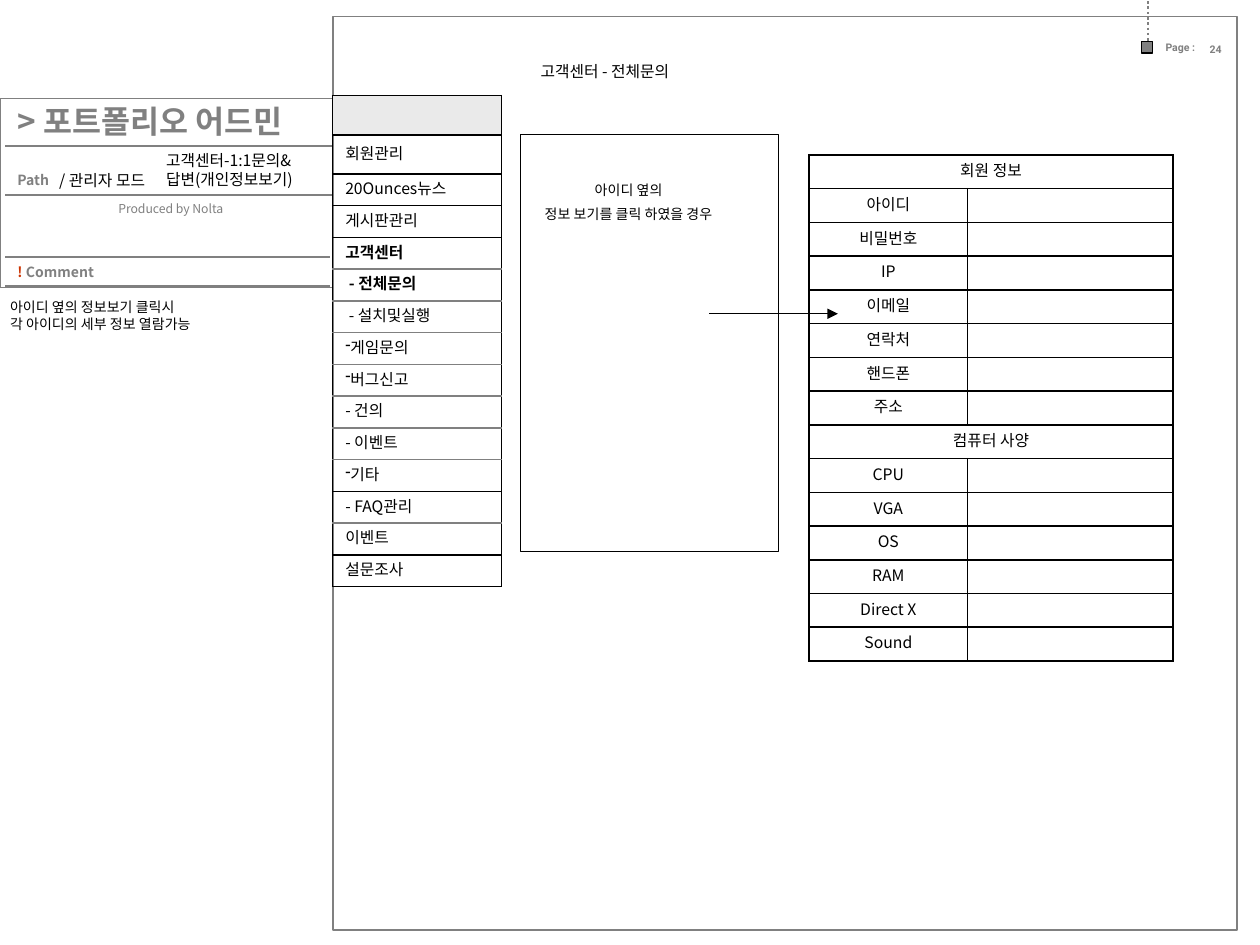
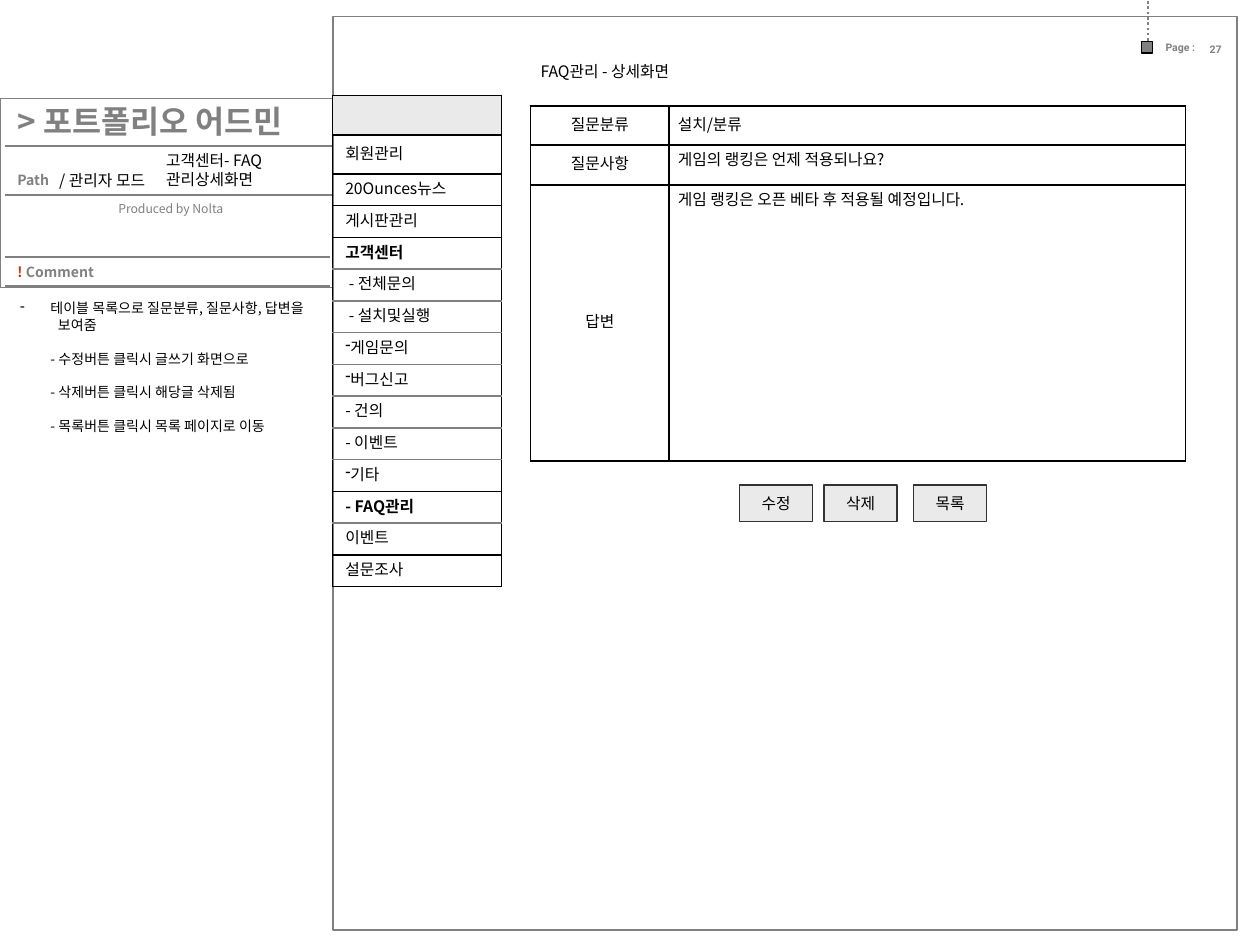
from dataclasses import dataclass
from typing import NamedTuple

from lxml.etree import SubElement
from pptx import Presentation
from pptx.dml.color import RGBColor
from pptx.enum.dml import MSO_LINE
from pptx.enum.shapes import MSO_CONNECTOR, MSO_SHAPE
from pptx.enum.text import MSO_ANCHOR, PP_ALIGN
from pptx.oxml.ns import qn
from pptx.util import Inches, Pt

LEFT, CENTER, RIGHT = PP_ALIGN.LEFT, PP_ALIGN.CENTER, PP_ALIGN.RIGHT
TOP, MIDDLE = MSO_ANCHOR.TOP, MSO_ANCHOR.MIDDLE
RECT, STRAIGHT = MSO_SHAPE.RECTANGLE, MSO_CONNECTOR.STRAIGHT
DOTTED = MSO_LINE.ROUND_DOT

WIDTH, HEIGHT = Inches(10), Inches(7.5)
COL, ROW = WIDTH / 100, HEIGHT / 75  # slide grid: 100 columns, 75 rows


@dataclass(frozen=True)
class Theme:
    ink: str = "000000"
    gray: str = "808080"
    accent: str = "CC3300"
    panel: str = "EAEAEA"
    button_edge: str = "333333"
    font: str = "Noto Sans CJK KR"
    page_font: str = "Roboto"
    title: float = 18
    body: float = 9
    note: float = 8
    credit: float = 7
    page: float = 6
    leading: float = 1.2
    thin: float = 0.75
    rule: float = 1
    dots: float = 1.5


T = Theme()


class Box(NamedTuple):
    """A place on the grid, in columns and rows."""
    x: float
    y: float
    w: float
    h: float

    def within(self, x, y, w, h):
        return Box(self.x + x, self.y + y, w, h)

    def emu(self):
        return [round(n * unit) for n, unit in zip(self, (COL, ROW, COL, ROW))]


PATH_PANEL = Box(0, 7.8, 26.4, 15)
SCREEN = Box(26.4, 1.3, 71.8, 72.5)

MENU = ["", "회원관리", "20Ounces뉴스", "게시판관리", "고객센터", " - 전체문의",
        " - 설치및실행", "게임문의", "버그신고", "- 건의", "- 이벤트", "기타",
        "- FAQ관리", "이벤트", "설문조사"]
DASHED_ITEMS = {"게임문의", "버그신고", "기타"}
GRAY_EDGES = {5, 6, 7, 8, 9, 10, 11, 13}

MEMBER_HEADINGS = {"회원 정보", "컴퓨터 사양"}
MEMBER_ROWS = ["회원 정보", "아이디", "비밀번호", "IP", "이메일", "연락처", "핸드폰",
               "주소", "컴퓨터 사양", "CPU", "VGA", "OS", "RAM", "Direct X", "Sound"]

FAQ_ROWS = [("질문분류", "설치/분류", MIDDLE, 3.1),
            ("질문사항", "게임의 랭킹은 언제 적용되나요?", TOP, 3.2),
            ("답변", "게임 랭킹은 오픈 베타 후 적용될 예정입니다.", TOP, 21.9)]
BUTTONS = {"수정": 32.3, "삭제": 39, "목록": 46.1}


def apply(target, formats):
    for name, value in formats.items():
        setattr(target, name, value)


def rgb(color):
    return RGBColor.from_string(color)


def write(frame, lines, size=T.body, color=T.ink, bold=False, align=LEFT,
          before=0, first_before=0, font=T.font):
    """Fill a text frame; a line is a string or a list of (text, color)."""
    for number, line in enumerate(lines):
        paragraph = frame.paragraphs[0] if number == 0 else frame.add_paragraph()
        apply(paragraph, {"alignment": align, "line_spacing": Pt(size * T.leading),
                          "space_before": Pt(before if number else first_before)})
        if not line:
            SubElement(paragraph._p, qn("a:endParaRPr"), sz=str(int(size * 100)))
        elif isinstance(line, str):
            paragraph.text = line
            colors = [color] * len(paragraph.runs)
        else:
            for text, _ in line:
                paragraph.add_run().text = text
            colors = [run_color for _, run_color in line]
        for run, run_color in zip(paragraph.runs, colors if line else []):
            apply(run.font, {"size": Pt(size), "bold": bold, "name": font})
            run.font.color.rgb = rgb(run_color)
            SubElement(run._r.get_or_add_rPr(), qn("a:ea"), typeface=font)


def indent(paragraph, margin, dash=False):
    """Indent by inches; a dash hangs in the margin."""
    properties = paragraph._p.get_or_add_pPr()
    properties.set("marL", str(Inches(margin)))
    if dash:
        properties.set("indent", str(-Inches(margin)))
        SubElement(properties, qn("a:buChar"), char="-")


def add_text(slide, box, lines, inset=0.04, anchor=TOP, wrap=True, **style):
    frame = slide.shapes.add_textbox(*box.emu()).text_frame
    apply(frame, {"margin_left": Inches(inset), "margin_right": Inches(inset),
                  "margin_top": Inches(0.05), "margin_bottom": Inches(0.05),
                  "vertical_anchor": anchor, "word_wrap": wrap})
    write(frame, lines, **style)
    return frame


def add_rect(slide, box, edge, width=T.thin, fill=None):
    shape = slide.shapes.add_shape(RECT, *box.emu())
    shape.shadow.inherit = False
    if fill:
        shape.fill.solid()
        shape.fill.fore_color.rgb = rgb(fill)
    else:
        shape.fill.background()
    shape.line.color.rgb = rgb(edge)
    shape.line.width = Pt(width)
    return shape


def add_rule(slide, box, color=T.gray, width=T.rule, dash=None, arrow=False):
    x, y, w, h = box.emu()
    rule = slide.shapes.add_connector(STRAIGHT, x, y, x + w, y + h)
    rule.line.color.rgb = rgb(color)
    rule.line.width = Pt(width)
    if dash:
        rule.line.dash_style = dash
    properties = rule._element.spPr
    if arrow:
        SubElement(properties.find(qn("a:ln")), qn("a:tailEnd"), type="triangle")
    SubElement(properties, qn("a:effectLst"))


def add_grid(slide, box, columns, rows):
    """Add a plain table whose columns and rows are given in grid units."""
    table = slide.shapes.add_table(len(rows), len(columns), *box.emu()).table
    apply(table, {"first_row": False, "horz_banding": False})
    for column, width in zip(table.columns, columns):
        column.width = round(width * COL)
    for row, height in zip(table.rows, rows):
        row.height = round(height * ROW)
    return table


def fill_cell(cell, text="", fill=None, top=T.ink, bottom=T.ink, inset=0.04,
              anchor=MIDDLE, **style):
    properties = cell._tc.get_or_add_tcPr()
    edges = {"lnL": T.ink, "lnR": T.ink, "lnT": top, "lnB": bottom}
    for side, color in edges.items():
        edge = SubElement(properties, qn("a:" + side), w=str(Pt(T.rule)))
        paint = SubElement(edge, qn("a:solidFill"))
        SubElement(paint, qn("a:srgbClr"), val=color)
    if fill:
        cell.fill.solid()
        cell.fill.fore_color.rgb = rgb(fill)
    else:
        cell.fill.background()
    apply(cell, {"margin_left": Inches(inset), "margin_right": Inches(0.04),
                 "margin_top": Inches(0.05 if anchor == TOP else 0),
                 "margin_bottom": 0, "vertical_anchor": anchor})
    write(cell.text_frame, [text], first_before=1.8, **style)


def draw_path_panel(slide, box, title):
    add_rect(slide, box, T.gray)
    for y, length in ((3.8, 26), (7.7, 26), (12.6, 25.8), (14.9, 25.8)):
        add_rule(slide, box.within(0.4, y, length, 0))
    label = {"inset": 0.1, "color": T.gray}
    add_text(slide, box.within(0.4, -0.2, 25.8, 4), ["> 포트폴리오 어드민"],
             anchor=MIDDLE, size=T.title, bold=True, **label)
    add_text(slide, box.within(0.4, 5.3, 5, 2.4), ["Path"], size=T.note, bold=True, **label)
    add_text(slide, box.within(0.4, 7.7, 18.3, 4.9), ["Produced by Nolta"],
             size=T.credit, align=RIGHT, **label)
    add_text(slide, box.within(0.4, 12.6, 18.3, 2.3),
             [[("!", T.accent), (" Comment", T.gray)]],
             inset=0.1, anchor=MIDDLE, size=T.note, bold=True)
    add_text(slide, box.within(4.3, 5.3, 8.5, 2.5), ["/ 관리자 모드"])
    add_text(slide, box.within(12.2, 3.7, 14.1, 4), [title], inset=0.1)


def draw_screen(slide, box, heading, page):
    add_rect(slide, box, T.gray, T.rule)
    add_rule(slide, box.within(64.7, -1.2, 0, 3.5), width=T.dots, dash=DOTTED)
    add_rect(slide, box.within(64.2, 2, 0.9, 0.9), T.ink, fill=T.gray)
    page_style = {"inset": 0.09, "size": T.page, "color": T.gray, "bold": True,
                  "font": T.page_font}
    add_text(slide, box.within(65.2, 1.5, 5.2, 1.9), ["Page :"], **page_style)
    add_text(slide, box.within(68.7, 1.6, 4.7, 2), [str(page)], **page_style)
    add_text(slide, box.within(16.1, 3.1, 12.4, 2.5), [heading], wrap=False)


def draw_menu(slide, box, current):
    tall, count = 3.1, len(MENU)
    short = (box.h - 2 * tall) / (count - 2)
    table = add_grid(slide, box, [box.w], [tall] * 2 + [short] * (count - 2))
    edges = [T.gray if n in GRAY_EDGES else T.ink for n in range(count + 1)]
    for number, item in enumerate(MENU):
        cell = table.cell(number, 0)
        fill_cell(cell, item, fill=None if item else T.panel, inset=0.1,
                  top=edges[number], bottom=edges[number + 1], bold=item in current)
        if item in DASHED_ITEMS:
            indent(cell.text_frame.paragraphs[0], 0, dash=True)


def draw_member_info(slide, box):
    columns = [12.6, box.w - 12.6]
    table = add_grid(slide, box, columns, [box.h / len(MEMBER_ROWS)] * len(MEMBER_ROWS))
    for number, name in enumerate(MEMBER_ROWS):
        label, value = table.cell(number, 0), table.cell(number, 1)
        fill_cell(label, name, align=CENTER)
        fill_cell(value)
        if name in MEMBER_HEADINGS:
            label.merge(value)


def draw_faq_detail(slide, box):
    heights = [height for *_, height in FAQ_ROWS]
    table = add_grid(slide, box, [11, box.w - 11], heights)
    for number, (label, value, anchor, _) in enumerate(FAQ_ROWS):
        fill_cell(table.cell(number, 0), label, align=CENTER)
        fill_cell(table.cell(number, 1), value, inset=0.07, anchor=anchor)


def draw_buttons(slide, box):
    for label, x in BUTTONS.items():
        button = add_rect(slide, box.within(x, 37.2, 5.8, 2.9), T.button_edge, fill=T.panel)
        apply(button.text_frame, {"vertical_anchor": MIDDLE, "word_wrap": False})
        write(button.text_frame, [label], align=CENTER)


def add_page(deck, title, heading, page, current):
    slide = deck.slides.add_slide(deck.slide_layouts[6])
    draw_path_panel(slide, PATH_PANEL, title)
    draw_screen(slide, SCREEN, heading, page)
    draw_menu(slide, SCREEN.within(0, 6.3, 13.4, 39), current)
    return slide


def build_inquiry_page(deck):
    slide = add_page(deck, "고객센터-1:1문의&\v답변(개인정보보기)", "고객센터 - 전체문의",
                     24, {"고객센터", " - 전체문의"})
    add_rect(slide, SCREEN.within(14.9, 9.4, 20.5, 33.1), T.ink)
    draw_member_info(slide, SCREEN.within(37.8, 11, 28.9, 40.2))
    add_text(slide, SCREEN.within(15.7, 12.6, 15.6, 4.4),
             ["아이디 옆의", "정보 보기를 클릭 하였을 경우"],
             wrap=False, size=T.note, align=CENTER, before=4)
    add_rule(slide, SCREEN.within(29.9, 23.6, 10.2, 0), T.ink, T.thin, arrow=True)
    add_text(slide, PATH_PANEL.within(0.4, 15.4, 24.4, 3.7),
             ["아이디 옆의 정보보기 클릭시\v각 아이디의 세부 정보 열람가능"], size=T.note)


def build_faq_page(deck):
    slide = add_page(deck, "고객센터- FAQ\v관리상세화면", "FAQ관리 - 상세화면",
                     27, {"고객센터", "- FAQ관리"})
    comment = add_text(slide, PATH_PANEL.within(1.2, 15.5, 25.2, 11.7),
                       ["테이블 목록으로 질문분류, 질문사항, 답변을", "보여줌",
                        "- 수정버튼 클릭시 글쓰기 화면으로", "- 삭제버튼 클릭시 해당글 삭제됨",
                        "- 목록버튼 클릭시 목록 페이지로 이동"],
                       size=T.note, before=T.note * T.leading)
    first, continued, *rest = comment.paragraphs
    indent(first, 0.24, dash=True)
    indent(continued, 0.3)
    continued.space_before = 0
    for paragraph in rest:
        indent(paragraph, 0.24)
    draw_faq_detail(slide, SCREEN.within(15.7, 7.1, 52, 28.2))
    draw_buttons(slide, SCREEN)


def main():
    deck = Presentation()
    apply(deck, {"slide_width": WIDTH, "slide_height": HEIGHT})
    build_inquiry_page(deck)
    build_faq_page(deck)
    deck.save("out.pptx")


if __name__ == "__main__":
    main()
